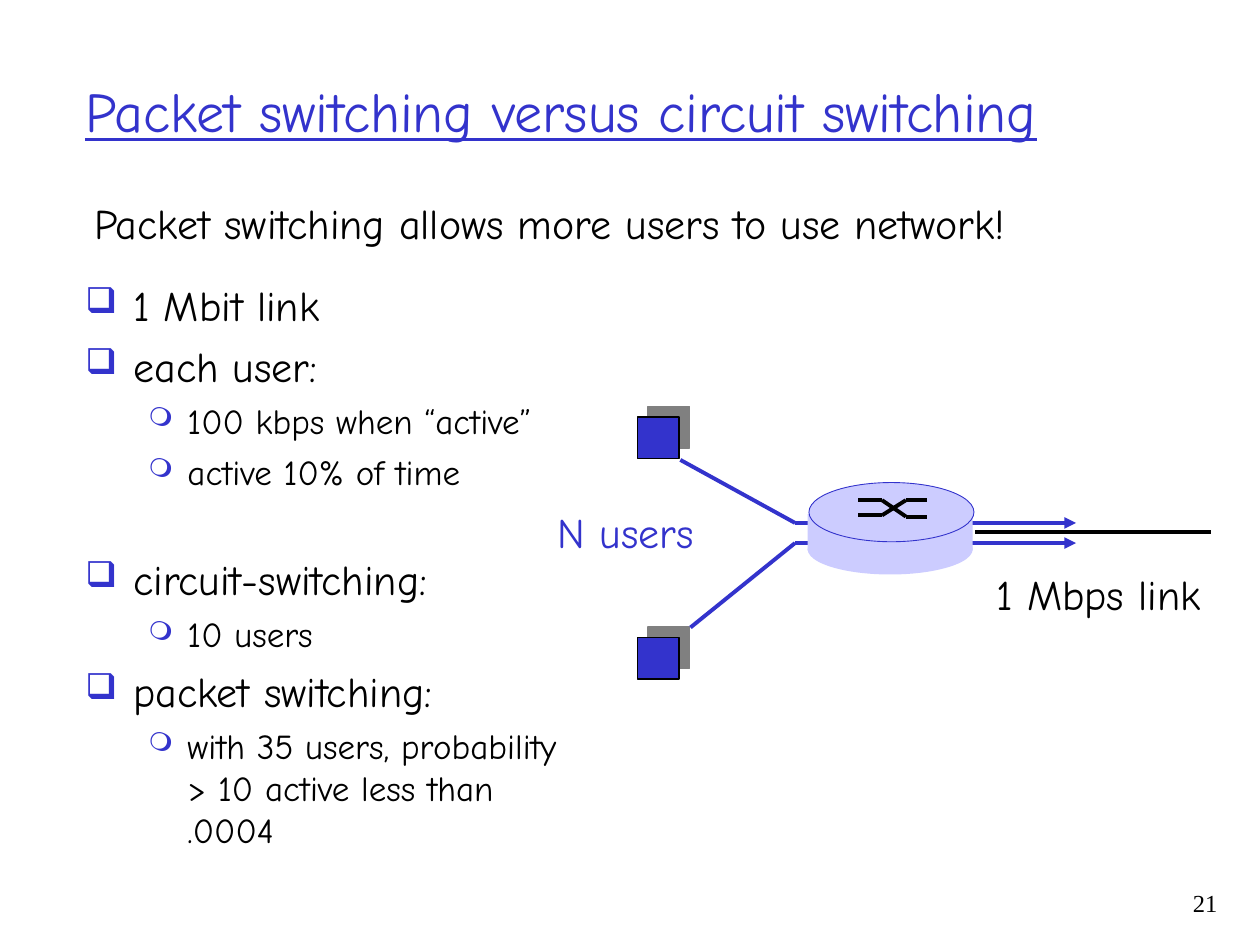
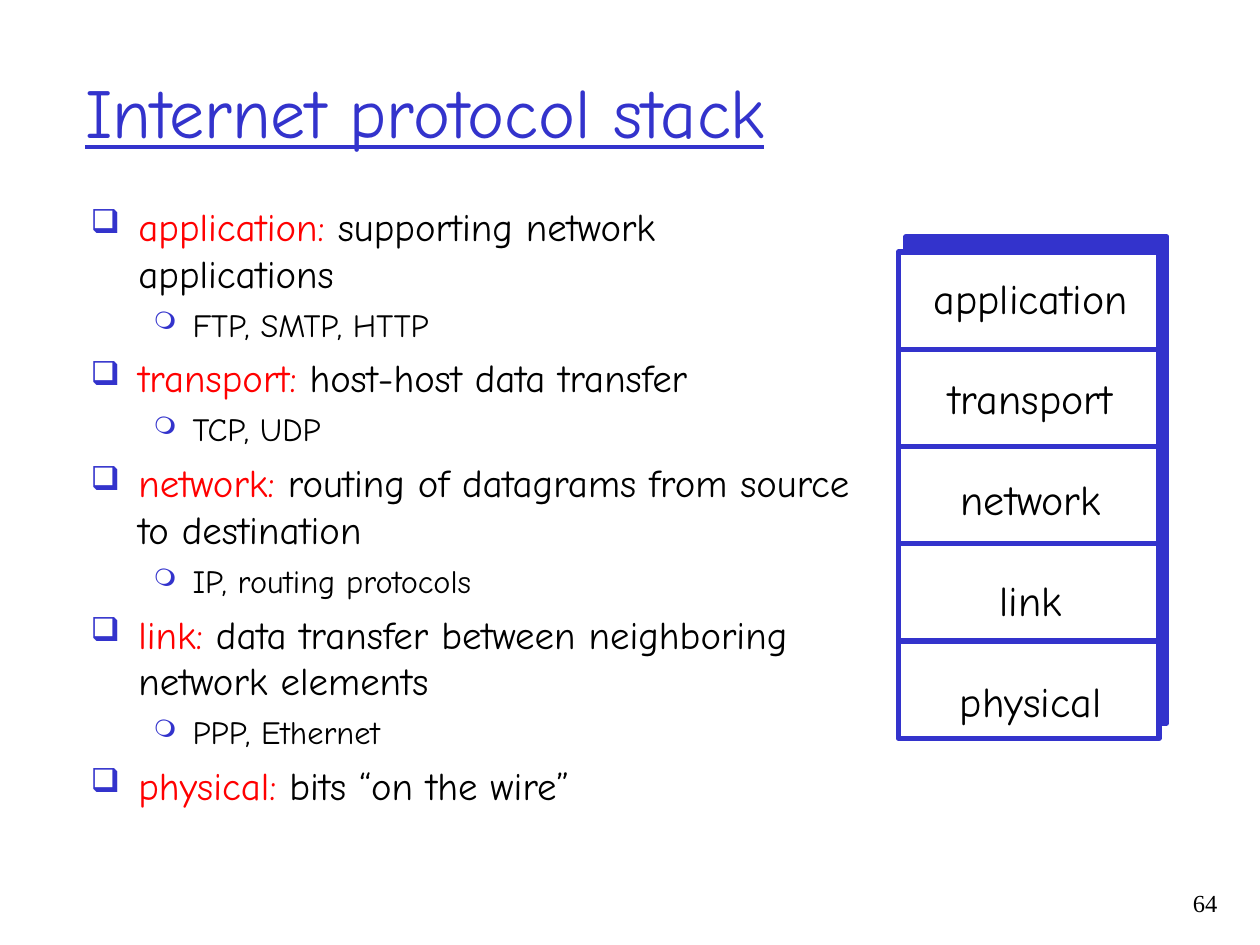
from itertools import pairwise

from lxml import etree
from pptx import Presentation
from pptx import util as u
from pptx.dml.color import RGBColor
from pptx.enum import shapes, text
from pptx.oxml.ns import qn

BLUE, PALE_BLUE, RED = "3333CC", "CCCCFF", "FF0000"
BLACK, WHITE, GRAY = "000000", "FFFFFF", "808080"
BODY_FONT, NUMBER_FONT = "Comic Neue", "Times New Roman"
RECTANGLE, OVAL = shapes.MSO_SHAPE.RECTANGLE, shapes.MSO_SHAPE.OVAL

# Outline levels: bullet, bullet size in percent, indent, hanging, space before
LEVELS = [("❑", 85, 0.38, 0.38, 6), ("❍", 75, 0.81, 0.31, 5)]


def color(value):
    return RGBColor.from_string(value)


def add_xml(parent, tag, **attributes):
    return etree.SubElement(parent, qn(tag), attributes)


def inches(*values):
    return [u.Inches(value) for value in values]


def style(paragraph, size, hue=BLACK, font=BODY_FONT):
    paragraph.font.name = font
    paragraph.font.size = u.Pt(size)
    paragraph.font.color.rgb = color(hue)


def add_text(canvas, box, lines, size, hue=BLACK, font=BODY_FONT,
             align=text.PP_ALIGN.LEFT, wrap=True, gap=0):
    """Place plain lines in a box, with gap points between them."""
    frame = canvas.add_textbox(*inches(*box)).text_frame
    frame.word_wrap = wrap
    if not wrap:
        frame.auto_size = text.MSO_AUTO_SIZE.SHAPE_TO_FIT_TEXT
    for index, line in enumerate(lines):
        paragraph = frame.add_paragraph() if index else frame.paragraphs[0]
        paragraph.text = line
        paragraph.alignment = align
        if index:
            paragraph.space_before = u.Pt(gap)
        style(paragraph, size, hue, font)
    return frame


def add_block(canvas, kind, box, fill, line=None, width=0.75):
    shape = canvas.add_shape(kind, *inches(*box))
    shape.shadow.inherit = False
    shape.fill.solid()
    shape.fill.fore_color.rgb = color(fill)
    if line:
        shape.line.color.rgb = color(line)
        shape.line.width = u.Pt(width)
    else:
        shape.line.fill.background()
    return shape


def add_path(canvas, points, hue, width=2.25, arrow=False):
    """Join the points with straight lines, the last one with an arrowhead."""
    for start, end in pairwise(points):
        line = canvas.add_connector(shapes.MSO_CONNECTOR.STRAIGHT,
                                    *inches(*start, *end))
        line.line.color.rgb = color(hue)
        line.line.width = u.Pt(width)
        properties = line.element.spPr
        add_xml(properties, "a:effectLst")
        if arrow and end == points[-1]:
            add_xml(properties.find(qn("a:ln")), "a:tailEnd", type="triangle")


def add_bullet(paragraph, level):
    bullet, percent, indent, hanging, space = LEVELS[level]
    paragraph.level = level
    paragraph.space_before = u.Pt(space)
    properties = paragraph._p.get_or_add_pPr()
    properties.set("marL", str(u.Inches(indent)))
    properties.set("indent", str(-u.Inches(hanging)))
    add_xml(add_xml(properties, "a:buClr"), "a:srgbClr", val=BLUE)
    add_xml(properties, "a:buSzPct", val=str(percent * 1000))
    add_xml(properties, "a:buChar", char=bullet)


def add_outline(slide, box, items, sizes):
    """Items are (level, red lead-in, text)."""
    frame = slide.shapes.add_textbox(*inches(*box)).text_frame
    frame.word_wrap = True
    for index, (level, lead, words) in enumerate(items):
        paragraph = frame.add_paragraph() if index else frame.paragraphs[0]
        add_bullet(paragraph, level)
        style(paragraph, sizes[level])
        if lead:
            run = paragraph.add_run()
            run.text = lead
            run.font.color.rgb = color(RED)
        paragraph.add_run().text = words
    return frame


def add_slide(presentation, title, title_size, number):
    """Start a slide with its underlined title and page number."""
    slide = presentation.slides.add_slide(presentation.slide_layouts[6])
    frame = add_text(slide.shapes, (0.58, 0.25, 8.75, 1.25), [title],
                     title_size, BLUE)
    frame.vertical_anchor = text.MSO_ANCHOR.MIDDLE
    frame.paragraphs[0].font.underline = True
    add_text(slide.shapes, (9.08, 7, 0.68, 0.5), [str(number)], 14,
             font=NUMBER_FONT, align=text.PP_ALIGN.RIGHT)
    return slide


def add_host(canvas, left, top):
    host = add_block(canvas, RECTANGLE, (left, top, 0.33, 0.33), BLUE, BLACK)
    effects = host.element.spPr.find(qn("a:effectLst"))
    shadow = add_xml(effects, "a:outerShdw", dist=str(u.Pt(8.5)),
                     dir="18900000", algn="ctr", rotWithShape="0")
    add_xml(shadow, "a:srgbClr", val=GRAY)


def add_router(slide, left, top):
    canvas = slide.shapes.add_group_shape().shapes
    add_block(canvas, OVAL, (left, top + 0.33, 1.31, 0.4), PALE_BLUE)
    add_block(canvas, RECTANGLE, (left, top + 0.25, 1.31, 0.29), PALE_BLUE)
    add_block(canvas, OVAL, (left + 0.01, top, 1.31, 0.47), PALE_BLUE, BLUE, 0.5)
    # Two crossing strands on the lid
    for start, end in ((0.14, 0.27), (0.26, 0.14)):
        strand = [(0.4, start), (0.59, start), (0.78, end), (0.95, end)]
        add_path(canvas, [(left + x, top + y) for x, y in strand], BLACK)


def add_network(slide, left, top):
    """Two hosts share one link through a router."""
    canvas = slide.shapes
    for host_top in (0, 1.75):
        add_host(canvas, left, top + host_top)
    for (x, y), lane in (((0.34, 0.34), 0.84), ((0.42, 1.67), 1.0)):
        add_path(canvas, [(left + x, top + y), (left + 1.25, top + lane),
                          (left + 3.48, top + lane)], BLUE, arrow=True)
    add_text(canvas, (left - 0.73, top + 0.66, 1.28, 0.5), ["N users"],
             24, BLUE, wrap=False)
    add_text(canvas, (left + 2.75, top + 1.15, 1.82, 0.5), ["1 Mbps link"],
             24, wrap=False)
    add_router(slide, left + 1.35, top + 0.52)
    add_path(canvas, [(left + 2.68, top + 0.91), (left + 4.55, top + 0.91)], BLACK)


def add_stack(slide, left, top, width, height, layers):
    add_block(slide.shapes, RECTANGLE, (left + 0.06, top - 0.12, width, height),
              BLUE, BLUE, 3)
    canvas = slide.shapes.add_group_shape().shapes
    add_block(canvas, RECTANGLE, (left, top, width, height), WHITE, BLUE, 3)
    add_text(canvas, (left + 0.18, top + 0.11, 1.74, 3.7), layers, 24,
             align=text.PP_ALIGN.CENTER, wrap=False, gap=28.8)
    for row in range(1, len(layers)):
        y = top + row * height / len(layers)
        add_path(canvas, [(left, y), (left + width, y)], BLUE, 3)


def switching_slide(presentation):
    slide = add_slide(presentation, "Packet switching versus circuit switching",
                      32, 21)
    frame = add_text(slide.shapes, (0.65, 1.52, 8.33, 0.67),
                     ["Packet switching allows more users to use network!"], 24)
    frame.paragraphs[0].space_before = u.Pt(6)
    outline = add_outline(slide, (0.58, 2.17, 4.17, 5.08), [
        (0, "", "1 Mbit link"),
        (0, "", "each user:"),
        (1, "", "100 kbps when “active”"),
        (1, "", "active 10% of time"),
        (0, "", "circuit-switching:"),
        (1, "", "10 users"),
        (0, "", "packet switching:"),
        (1, "", "with 35 users, probability > 10 active less than .0004"),
    ], (24, 20))
    # Set the comparison apart from the link facts
    outline.paragraphs[4].space_before = u.Pt(35)
    add_network(slide, 5.06, 3.31)


def protocol_slide(presentation):
    slide = add_slide(presentation, "Internet protocol stack", 40, 64)
    add_outline(slide, (0.62, 1.56, 6.25, 5.08), [
        (0, "application:", " supporting network applications"),
        (1, "", "FTP, SMTP, HTTP"),
        (0, "transport:", " host-host data transfer"),
        (1, "", "TCP, UDP"),
        (0, "network:", " routing of datagrams from source to destination"),
        (1, "", "IP, routing protocols"),
        (0, "link:", " data transfer between neighboring network elements"),
        (1, "", "PPP, Ethernet"),
        (0, "physical:", " bits “on the wire”"),
    ], (22.2, 18.5))
    add_stack(slide, 7.13, 2, 2.07, 3.86,
              ["application", "transport", "network", "link", "physical"])


def main():
    presentation = Presentation()
    presentation.slide_width, presentation.slide_height = inches(10, 7.5)
    switching_slide(presentation)
    protocol_slide(presentation)
    presentation.save("out.pptx")


if __name__ == "__main__":
    main()
